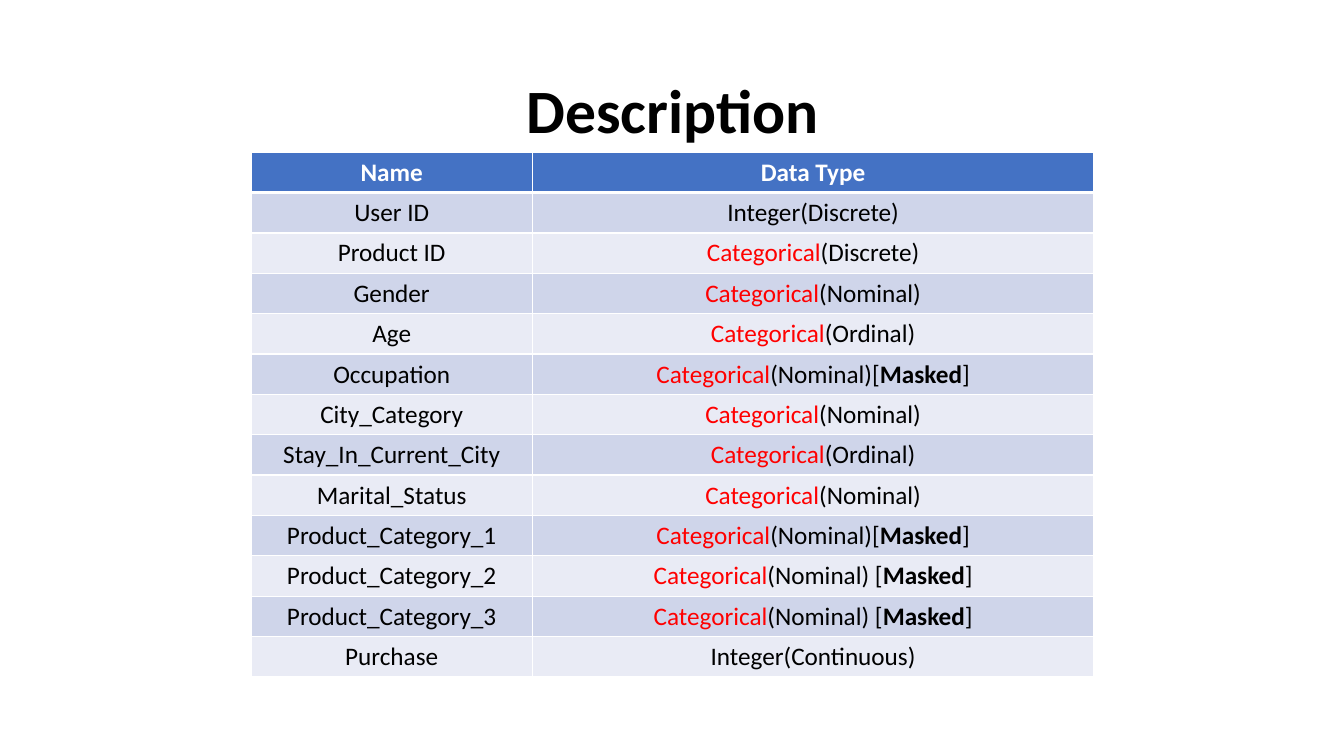
from lxml.etree import SubElement
from pptx import Presentation
from pptx.dml.color import RGBColor
from pptx.enum.text import MSO_ANCHOR, PP_ALIGN
from pptx.oxml.ns import qn
from pptx.util import Inches, Pt


def add_run(paragraph, text, size, color, bold=False):
    run = paragraph.add_run()
    run.text = text
    run.font.name = "Calibri"
    run.font.size = Pt(size)
    run.font.bold = bold
    run.font.color.rgb = RGBColor.from_string(color)


def add_border(cell, side, points):
    line = SubElement(cell._tc.get_or_add_tcPr(), qn(f"a:ln{side}"), w=str(Pt(points)))
    fill = SubElement(line, qn("a:solidFill"))
    SubElement(fill, qn("a:srgbClr"), val="FFFFFF")


presentation = Presentation()
presentation.slide_width = Inches(13.33)
presentation.slide_height = Inches(7.5)
slide = presentation.slides.add_slide(presentation.slide_layouts[6])

# Heading
heading = slide.shapes.add_textbox(Inches(0.92), Inches(0.4), Inches(11.5), Inches(1.45))
heading.text_frame.word_wrap = True
heading.text_frame.vertical_anchor = MSO_ANCHOR.MIDDLE
heading_line = heading.text_frame.paragraphs[0]
heading_line.alignment = PP_ALIGN.CENTER
heading_line.line_spacing = 0.9
add_run(heading_line, "Description", 44, "000000", bold=True)

# Columns of the dataset and their data types
fields = [
    ("Name", "Data Type"),
    ("User ID", "Integer(Discrete)"),
    ("Product ID", "Categorical(Discrete)"),
    ("Gender", "Categorical(Nominal)"),
    ("Age", "Categorical(Ordinal)"),
    ("Occupation", "Categorical(Nominal)[Masked]"),
    ("City_Category", "Categorical(Nominal)"),
    ("Stay_In_Current_City", "Categorical(Ordinal)"),
    ("Marital_Status", "Categorical(Nominal)"),
    ("Product_Category_1", "Categorical(Nominal)[Masked]"),
    ("Product_Category_2", "Categorical(Nominal) [Masked]"),
    ("Product_Category_3", "Categorical(Nominal) [Masked]"),
    ("Purchase", "Integer(Continuous)"),
]
highlights = {"Categorical": ("FF0000", False), "Masked": ("000000", True)}

# Table
field_table = slide.shapes.add_table(
    len(fields), 2, Inches(2.49), Inches(1.51), Inches(8.36), Inches(5.2)
).table
field_table.columns[0].width = Inches(2.79)
field_table.columns[1].width = Inches(5.57)

for row, field in enumerate(fields):
    field_table.rows[row].height = Inches(0.39)
    for column, text in enumerate(field):
        cell = field_table.cell(row, column)

        # Borders, thicker below the header, and banded fill
        for side in "LRTB":
            under_header = (row, side) in [(0, "B"), (1, "T")]
            add_border(cell, side, 3 if under_header else 1)
        band = "4472C4" if row == 0 else ("E9EBF5", "CFD5EA")[row % 2]
        cell.fill.solid()
        cell.fill.fore_color.rgb = RGBColor.from_string(band)

        # Text, with the highlighted words in their own runs
        paragraph = cell.text_frame.paragraphs[0]
        paragraph.alignment = PP_ALIGN.CENTER
        if row == 0:
            add_run(paragraph, text, 18, "FFFFFF", bold=True)
            continue
        for word in highlights:
            before, found, after = text.partition(word)
            if found:
                if before:
                    add_run(paragraph, before, 18, "000000")
                add_run(paragraph, word, 18, *highlights[word])
                text = after
        if text:
            add_run(paragraph, text, 18, "000000")

presentation.save("out.pptx")
